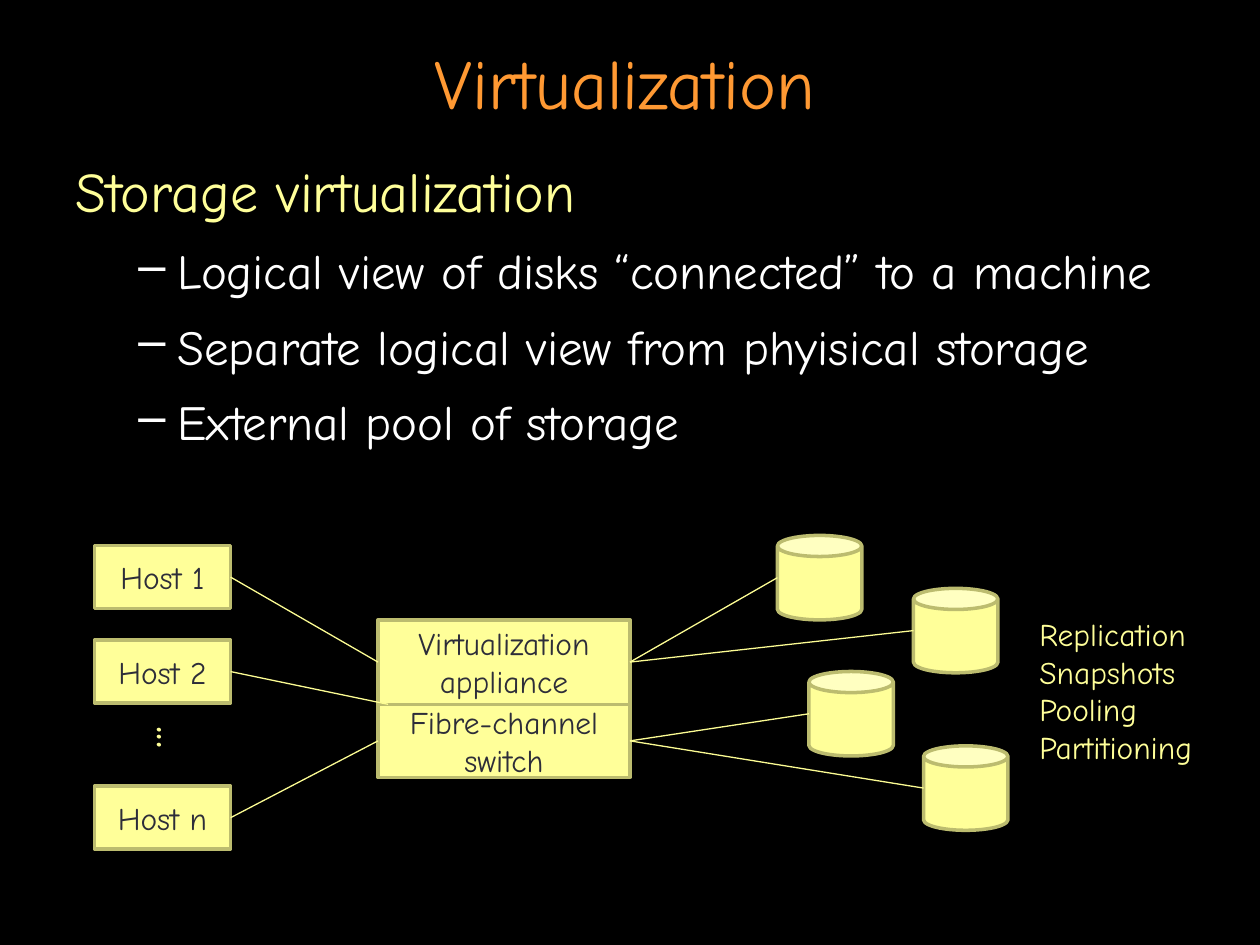
from lxml.etree import SubElement
from pptx import Presentation
from pptx.dml.color import RGBColor
from pptx.enum.shapes import MSO_CONNECTOR, MSO_SHAPE
from pptx.enum.text import MSO_ANCHOR, PP_ALIGN
from pptx.oxml.ns import qn
from pptx.util import Inches, Pt

FONT = "Comic Neue"
COLORS = {
    "background": "000000", "title": "FF9933", "accent": "FFFF99",
    "bullet": "FFFFFF", "border": "BCBC6F", "link": "FCFC93", "label": "2D2D39",
}


def color(name):
    return RGBColor.from_string(COLORS[name])


def set_attributes(target, values):
    for name, value in values.items():
        setattr(target, name, value)


def write(text_frame, lines, size, color_name, frame_format=None, paragraph_format=None):
    """Write one paragraph for each line and return the paragraphs."""
    set_attributes(text_frame, {"word_wrap": True, **(frame_format or {})})
    paragraphs = []
    for index, line in enumerate(lines):
        paragraph = text_frame.add_paragraph() if index else text_frame.paragraphs[0]
        set_attributes(paragraph, paragraph_format or {})
        run = paragraph.add_run()
        run.text = line
        set_attributes(run.font, {"size": Pt(size), "name": FONT})
        run.font.color.rgb = color(color_name)
        paragraphs.append(paragraph)
    return paragraphs


def add_text(slide, box, lines, size, color_name, frame_format=None, paragraph_format=None):
    shape = slide.shapes.add_textbox(*map(Inches, box))
    write(shape.text_frame, lines, size, color_name, frame_format, paragraph_format)
    return shape


def indent(paragraph, margin, hanging, bullet=None):
    properties = paragraph._p.get_or_add_pPr()
    properties.set("marL", str(Inches(margin)))
    properties.set("indent", str(-Inches(hanging)))
    if bullet:
        bullet_color = SubElement(properties, qn("a:buClr"))
        SubElement(bullet_color, qn("a:srgbClr")).set("val", COLORS["bullet"])
        SubElement(properties, qn("a:buChar")).set("char", bullet)
    else:
        SubElement(properties, qn("a:buNone"))


def add_node(slide, kind, box, lines=()):
    shape = slide.shapes.add_shape(kind, *map(Inches, box))
    shape.shadow.inherit = False
    shape.fill.solid()
    shape.fill.fore_color.rgb = color("accent")
    shape.line.color.rgb = color("border")
    shape.line.width = Pt(2)
    write(shape.text_frame, lines, 18, "label",
          {"vertical_anchor": MSO_ANCHOR.MIDDLE}, {"alignment": PP_ALIGN.CENTER})
    return shape


def add_link(slide, start, end):
    link = slide.shapes.add_connector(MSO_CONNECTOR.STRAIGHT, *map(Inches, start + end))
    link.line.color.rgb = color("link")
    link.line.width = Pt(0.75)
    SubElement(link._element.spPr, qn("a:effectLst"))


def add_body(slide, box, heading, points):
    shape = add_text(slide, box, [heading, *points], 28, "bullet",
                     paragraph_format={"line_spacing": 0.9, "space_before": Pt(7),
                                       "space_after": Pt(6)})
    first, *rest = shape.text_frame.paragraphs
    first.space_before = Pt(8)
    first.runs[0].font.size = Pt(32)
    first.runs[0].font.color.rgb = color("accent")
    indent(first, 0.38, 0.38)
    for paragraph in rest:
        indent(paragraph, 0.81, 0.31, "–")


def add_diagram(slide, left, top):
    """Hosts on the left, appliance and switch in the middle, disks on the right."""
    # Appliance stacked on the switch
    center_left, center_right = left + 2.25, left + 4.25
    center_width = center_right - center_left
    appliance_top, appliance_height, switch_height = top + 0.67, 0.67, 0.58
    switch_top = appliance_top + appliance_height
    add_node(slide, MSO_SHAPE.RECTANGLE,
             (center_left, appliance_top, center_width, appliance_height),
             ["Virtualization appliance"])
    add_node(slide, MSO_SHAPE.RECTANGLE,
             (center_left, switch_top, center_width, switch_height),
             ["Fibre-channel", "switch"])
    appliance_middle = appliance_top + appliance_height / 2
    switch_middle = switch_top + switch_height / 2

    # Hosts with their links
    host_width, host_height = 1.08, 0.5
    hosts = [("Host 1", 0.08, (center_left, appliance_middle)),
             ("Host 2", 0.83, (center_left + 0.08, switch_top)),
             ("Host n", 1.99, (center_left, switch_middle))]
    for name, offset, target in hosts:
        add_node(slide, MSO_SHAPE.RECTANGLE,
                 (left, top + offset, host_width, host_height), [name])
        add_link(slide, (left + host_width, top + offset + host_height / 2), target)
    dots = add_text(slide, (left + 0.4, top + 1.38, 0.5, 0.57), ["..."], 28, "accent")
    dots.rotation = 90

    # Disks with their links
    disk_size = 0.67
    disks = [(5.42, 0, appliance_middle), (6.5, 0.42, appliance_middle),
             (5.67, 1.08, switch_middle), (6.58, 1.67, switch_middle)]
    for across, down, source in disks:
        disk = add_node(slide, MSO_SHAPE.CAN,
                        (left + across, top + down, disk_size, disk_size))
        disk.adjustments[0] = 0.25
        add_link(slide, (center_right, source),
                 (left + across, top + down + disk_size / 2))

    # Storage services
    add_text(slide, (left + 7.4, top + 0.58, 1.42, 1.3),
             ["Replication", "Snapshots", "Pooling", "Partitioning"],
             18, "accent", {"word_wrap": False})


presentation = Presentation()
set_attributes(presentation, {"slide_width": Inches(10), "slide_height": Inches(7.5)})
slide = presentation.slides.add_slide(presentation.slide_layouts[6])
slide.background.fill.solid()
slide.background.fill.fore_color.rgb = color("background")

add_text(slide, (0.25, 0.3, 9.42, 0.7), ["Virtualization"], 40, "title",
         {"vertical_anchor": MSO_ANCHOR.MIDDLE}, {"alignment": PP_ALIGN.CENTER})
add_body(slide, (0.5, 1.25, 9.5, 2.92), "Storage virtualization", [
    "Logical view of disks “connected” to a machine",
    "Separate logical view from phyisical storage",
    "External pool of storage",
])
add_diagram(slide, 0.75, 4.25)

presentation.save("out.pptx")
